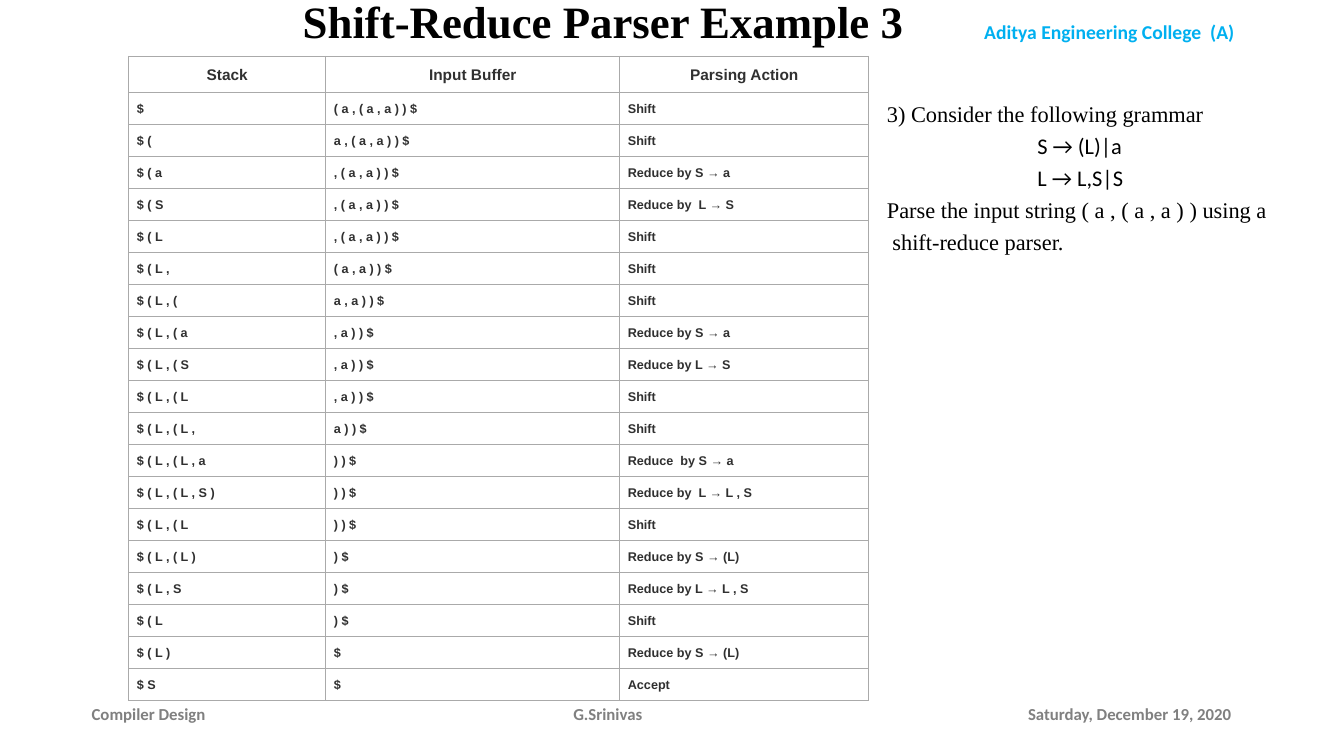
from lxml.etree import SubElement
from pptx import Presentation
from pptx.dml.color import RGBColor
from pptx.enum.text import MSO_ANCHOR, PP_ALIGN
from pptx.oxml.ns import qn
from pptx.util import Inches, Pt

BLACK = RGBColor(0x00, 0x00, 0x00)
WHITE = RGBColor(0xFF, 0xFF, 0xFF)
GRAY = RGBColor(0x80, 0x80, 0x80)
CYAN = RGBColor(0x00, 0xB0, 0xF0)
CHARCOAL = RGBColor(0x30, 0x30, 0x30)
RULE = RGBColor(0xAA, 0xAA, 0xAA)

STEPS = [
    ("Stack", "Input Buffer", "Parsing Action"),
    ("$", "( a , ( a , a ) ) $", "Shift"),
    ("$ (", "a , ( a , a ) ) $", "Shift"),
    ("$ ( a", ", ( a , a ) ) $", "Reduce by S → a"),
    ("$ ( S", ", ( a , a ) ) $", "Reduce by  L → S"),
    ("$ ( L", ", ( a , a ) ) $", "Shift"),
    ("$ ( L ,", "( a , a ) ) $", "Shift"),
    ("$ ( L , (", "a , a ) ) $", "Shift"),
    ("$ ( L , ( a", ", a ) ) $", "Reduce by S → a"),
    ("$ ( L , ( S", ", a ) ) $", "Reduce by L → S"),
    ("$ ( L , ( L", ", a ) ) $", "Shift"),
    ("$ ( L , ( L ,", "a ) ) $", "Shift"),
    ("$ ( L , ( L , a", ") ) $", "Reduce  by S → a"),
    ("$ ( L , ( L , S )", ") ) $", "Reduce by  L → L , S"),
    ("$ ( L , ( L", ") ) $", "Shift"),
    ("$ ( L , ( L )", ") $", "Reduce by S → (L)"),
    ("$ ( L , S", ") $", "Reduce by L → L , S"),
    ("$ ( L", ") $", "Shift"),
    ("$ ( L )", "$", "Reduce by S → (L)"),
    ("$ S", "$", "Accept"),
]


class Deck:
    """Slide and style; lengths are percentages of the slide's size."""

    serif, sans, table_font = "Times New Roman", "Calibri", "Arial"

    def __init__(self):
        self.prs = Presentation()
        self.prs.slide_width, self.prs.slide_height = Inches(13.33), Inches(7.5)
        self.s = self.prs.slides.add_slide(self.prs.slide_layouts[6])

    def x(self, share):
        return round(self.prs.slide_width * share / 100)

    def y(self, share):
        return round(self.prs.slide_height * share / 100)

    def style(self, p, font, size, color, bold=False, align=PP_ALIGN.LEFT):
        p.alignment = align
        f = p.font
        f.name, f.size, f.bold = font, Pt(size), bold
        f.color.rgb = color

    def box(self, left, top, width, height, anchor=MSO_ANCHOR.MIDDLE):
        sp = self.s.shapes.add_textbox(self.x(left), self.y(top), self.x(width), self.y(height))
        tf = sp.text_frame
        tf.word_wrap, tf.vertical_anchor = True, anchor
        return tf

    def label(self, text, area, font, size, color, align=PP_ALIGN.LEFT):
        p = self.box(*area).paragraphs[0]
        p.text = text
        self.style(p, font, size, color, True, align)

    def lines(self, items, area, size, indent, gap):
        """Stacked lines; productions are indented and set in the sans font."""
        tf = self.box(*area, anchor=MSO_ANCHOR.TOP)
        for i, (text, production) in enumerate(items):
            p = tf.add_paragraph() if i else tf.paragraphs[0]
            p.text = text
            if i:
                p.space_before = Pt(gap)
            if production:
                p._p.get_or_add_pPr().set("marL", str(self.x(indent)))
            self.style(p, self.sans if production else self.serif, size, BLACK)

    def border(self, cell):
        tcPr = cell._tc.get_or_add_tcPr()
        for side in ("a:lnL", "a:lnR", "a:lnT", "a:lnB"):
            ln = SubElement(tcPr, qn(side), w=str(Pt(1)))
            fill = SubElement(ln, qn("a:solidFill"))
            SubElement(fill, qn("a:srgbClr"), val=str(RULE))

    def table(self, rows, left, top, widths, head, body):
        """Head row of its own height; the others share the body evenly."""
        frame = self.s.shapes.add_table(len(rows), len(widths), self.x(left), self.y(top),
                                        self.x(sum(widths)), self.y(head + body))
        tbl = frame.table
        for column, width in zip(tbl.columns, widths):
            column.width = self.x(width)
        for r, texts in enumerate(rows):
            tbl.rows[r].height = self.y(body / (len(rows) - 1) if r else head)
            for c, text in enumerate(texts):
                cell = tbl.cell(r, c)
                cell.margin_left = cell.margin_right = Inches(0.08)
                cell.margin_top = cell.margin_bottom = Inches(0.07)
                cell.vertical_anchor = MSO_ANCHOR.MIDDLE
                self.border(cell)
                cell.fill.solid()
                cell.fill.fore_color.rgb = WHITE
                p = cell.text_frame.paragraphs[0]
                p.text, p.line_spacing = text, 1.07
                self.style(p, self.table_font, 9 if r else 11, CHARCOAL, True,
                           PP_ALIGN.LEFT if r else PP_ALIGN.CENTER)


def main():
    d = Deck()

    # Header and footer
    d.label("Aditya Engineering College  (A)", (68.18, 1.87, 28.73, 4.53),
            d.sans, 14, CYAN, PP_ALIGN.CENTER)
    foot, foot_height = 91.7, 5.33
    for text, left, width, align in (
            ("Compiler Design", 6.08, 15.83, PP_ALIGN.LEFT),
            ("Saturday, December 19, 2020", 75.75, 17.25, PP_ALIGN.LEFT),
            ("G.Srinivas", 33.98, 22.5, PP_ALIGN.CENTER)):
        d.label(text, (left, foot, width, foot_height), d.sans, 12, GRAY, align)

    # Grammar and task
    d.lines([("3) Consider the following grammar", False),
             ("S → (L)|a", True),
             ("L → L,S|S", True),
             ("Parse the input string ( a , ( a , a ) ) using a", False),
             (" shift-reduce parser.", False)],
            (65.25, 12.53, 32.25, 44.8), size=16, indent=11.2, gap=3.7)

    # Title
    d.label("Shift-Reduce Parser Example 3 ", (20.1, -4, 50.4, 13.33),
            d.serif, 32, BLACK, PP_ALIGN.CENTER)

    # Parsing trace
    d.table(STEPS, 9.58, 7.47, (14.66, 21.88, 18.53), head=4.8, body=80.4)

    d.prs.save("out.pptx")


if __name__ == "__main__":
    main()
